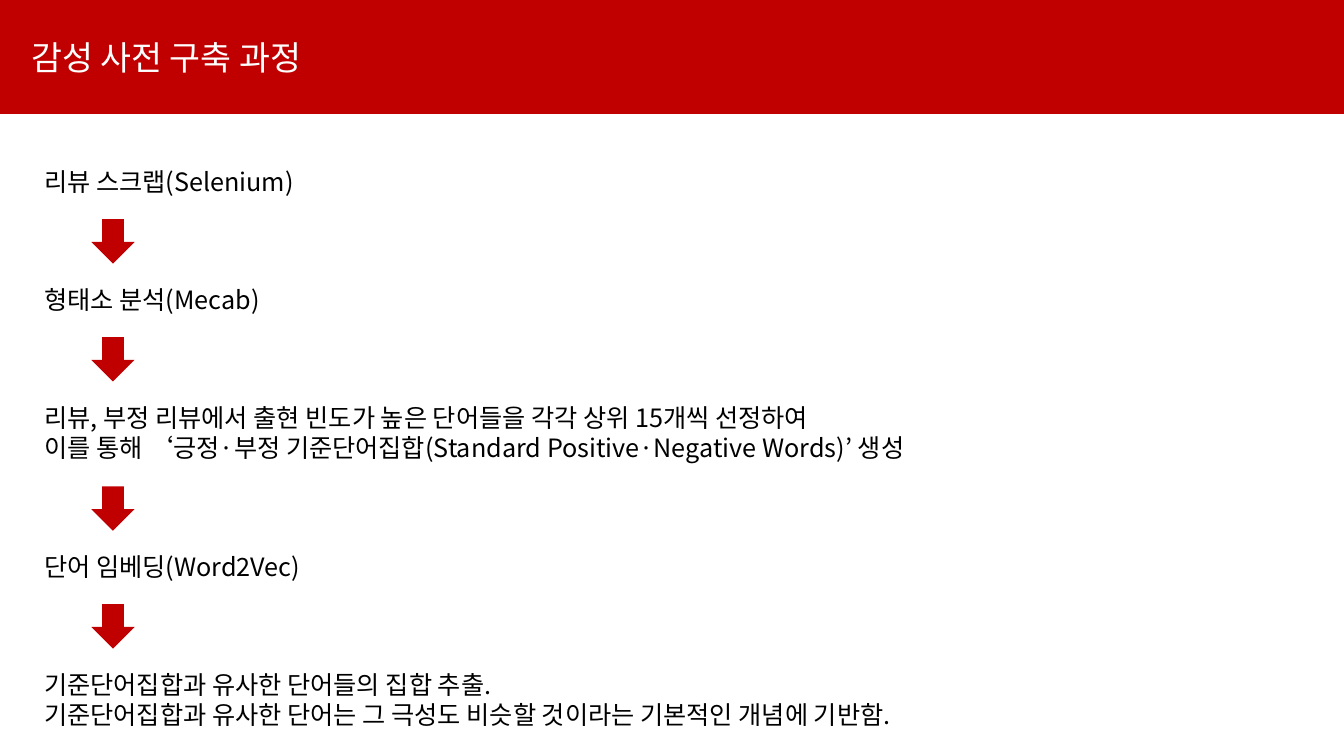
from lxml.etree import SubElement
from pptx import Presentation
from pptx.dml.color import RGBColor
from pptx.enum.shapes import MSO_SHAPE
from pptx.enum.text import MSO_ANCHOR, MSO_AUTO_SIZE, PP_ALIGN
from pptx.oxml.ns import qn
from pptx.util import Inches, Pt

RED = RGBColor(0xC0, 0x00, 0x00)
WHITE = RGBColor(0xFF, 0xFF, 0xFF)
BLACK = RGBColor(0x00, 0x00, 0x00)
FONT = "Noto Sans CJK KR"

STEPS = [
    "리뷰 스크랩(Selenium)",
    "형태소 분석(Mecab)",
    "리뷰, 부정 리뷰에서 출현 빈도가 높은 단어들을 각각 상위 15개씩 선정하여\n"
    "이를 통해 ‘긍정·부정 기준단어집합(Standard Positive·Negative Words)’ 생성",
    "단어 임베딩(Word2Vec)",
    "기준단어집합과 유사한 단어들의 집합 추출.\n"
    "기준단어집합과 유사한 단어는 그 극성도 비슷할 것이라는 기본적인 개념에 기반함.",
]


def format_text(text_frame, size, color):
    for paragraph in text_frame.paragraphs:
        paragraph.alignment = PP_ALIGN.LEFT
        for run in paragraph.runs:
            run.font.size = Pt(size)
            run.font.name = FONT
            run.font.color.rgb = color
            SubElement(run.font._element, qn("a:ea"), typeface=FONT)


presentation = Presentation()
presentation.slide_width = Inches(13.33)
presentation.slide_height = Inches(7.5)
slide = presentation.slides.add_slide(presentation.slide_layouts[5])

title = slide.shapes.title
title.left, title.top = Inches(0), Inches(0)
title.width, title.height = presentation.slide_width, Inches(1.13)
title.fill.solid()
title.fill.fore_color.rgb = RED
title.text_frame.text = "감성 사전 구축 과정"
title.text_frame.auto_size = MSO_AUTO_SIZE.NONE
title.text_frame.vertical_anchor = MSO_ANCHOR.MIDDLE
title.text_frame.margin_left = Inches(0.31)
format_text(title.text_frame, 24, WHITE)

step_top = 1.6
step_gap = 0.77
for index, step in enumerate(STEPS):
    step_height = 0.71 if "\n" in step else 0.4
    step_box = slide.shapes.add_textbox(
        Inches(0.34), Inches(step_top), Inches(11.98), Inches(step_height)
    )
    step_box.text_frame.word_wrap = True
    step_box.text_frame.auto_size = MSO_AUTO_SIZE.SHAPE_TO_FIT_TEXT
    step_box.text_frame.text = step
    format_text(step_box.text_frame, 18, BLACK)

    if index < len(STEPS) - 1:
        arrow = slide.shapes.add_shape(
            MSO_SHAPE.RIGHT_ARROW,
            Inches(0.9), Inches(step_top + step_height + 0.18), Inches(0.44), Inches(0.43),
        )
        arrow.rotation = 90
        arrow.shadow.inherit = False
        arrow.fill.solid()
        arrow.fill.fore_color.rgb = RED
        arrow.line.fill.background()
    step_top += step_height + step_gap

presentation.save("out.pptx")
